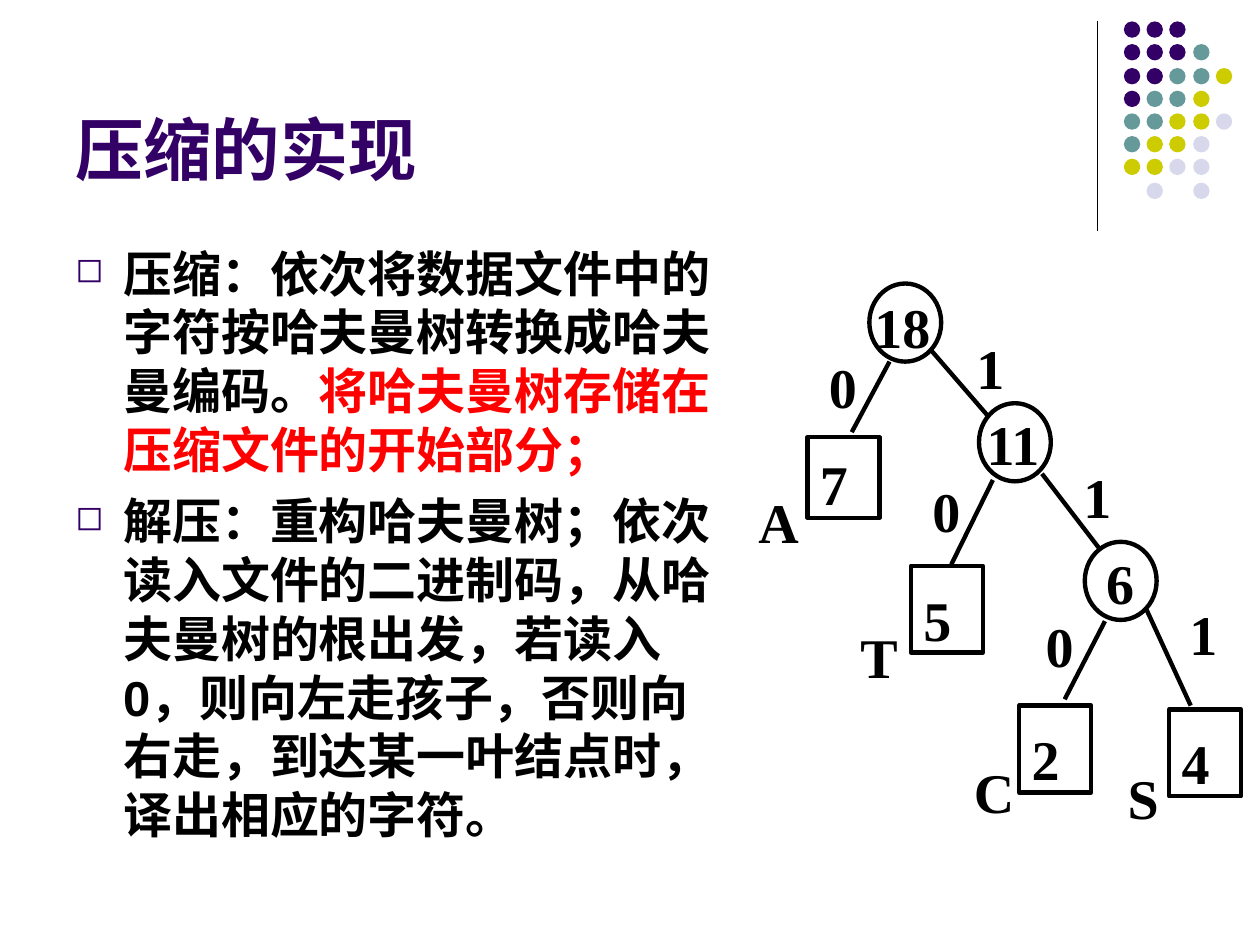
from lxml import etree
from pptx import Presentation
from pptx.dml.color import RGBColor
from pptx.enum.shapes import MSO_CONNECTOR, MSO_SHAPE
from pptx.enum.text import MSO_ANCHOR, PP_ALIGN
from pptx.oxml.ns import qn
from pptx.util import Emu, Pt

OVAL, RECT = MSO_SHAPE.OVAL, MSO_SHAPE.RECTANGLE
STRAIGHT = MSO_CONNECTOR.STRAIGHT
LEFT, CENTER = PP_ALIGN.LEFT, PP_ALIGN.CENTER
TOP, BOTTOM = MSO_ANCHOR.TOP, MSO_ANCHOR.BOTTOM
PX = 9144  # 100 px to the inch

COLORS = {
    "purple": "330066",
    "teal": "669999",
    "lime": "CCCC00",
    "lavender": "D8D8EC",
    "black": "000000",
    "red": "FF0000",
}
RGB = {name: RGBColor.from_string(value) for name, value in COLORS.items()}

deck = Presentation()
deck.slide_width, deck.slide_height = Emu(1000 * PX), Emu(750 * PX)
page = deck.slides.add_slide(deck.slide_layouts[6])
shapes = page.shapes


def add_line(start, end, width):
    line = shapes.add_connector(STRAIGHT, *[Emu(n * PX) for n in (*start, *end)])
    line.line.color.rgb = RGB["black"]
    line.line.width = Pt(width)
    etree.SubElement(line._element.spPr, qn("a:effectLst"))


def write_label(box, text, inset_x, inset_top, align=LEFT, spacing=1.0):
    frame = box.text_frame
    frame.text = text
    frame.word_wrap = True
    frame.vertical_anchor = TOP
    frame.margin_left = frame.margin_right = Emu(inset_x * PX)
    frame.margin_top, frame.margin_bottom = Emu(inset_top * PX), 0
    para = frame.paragraphs[0]
    para.alignment = align
    para.line_spacing = spacing
    font = para.runs[0].font
    font.name, font.size, font.bold = "Times New Roman", Pt(32), True
    font.color.rgb = RGB["black"]


# Corner rule and dot pattern
add_line((871, 17), (871, 183), 0.75)
DOT_ROWS = ["PPP", "PPPT", "PPTTY", "PTTY", "TTYYL", "TYYL", "YYLL", " L L"]
DOT_COLORS = {"P": "purple", "T": "teal", "Y": "lime", "L": "lavender"}
for row, marks in enumerate(DOT_ROWS):
    for column, mark in enumerate(marks):
        if mark == " ":
            continue
        left, top = round(892 + 18.25 * column), round(17 + 18.25 * row)
        dot = shapes.add_shape(OVAL, left * PX, top * PX, 13 * PX, 13 * PX)
        dot.shadow.inherit = False
        dot.fill.solid()
        dot.fill.fore_color.rgb = RGB[DOT_COLORS[mark]]
        dot.line.fill.background()

# Title
title = shapes.add_textbox(50 * PX, 13 * PX, 825 * PX, 142 * PX)
title.text_frame.text = "压缩的实现"
title.text_frame.word_wrap = True
title.text_frame.vertical_anchor = BOTTOM
title_font = title.text_frame.paragraphs[0].runs[0].font
title_font.name, title_font.size, title_font.bold = "Arial", Pt(39), True
title_font.color.rgb = RGB["purple"]

# Bulleted text
BULLETS = [
    [
        ("压缩：依次将数据文件中的字符按哈夫曼树转换成哈夫曼编码。", "black"),
        ("将哈夫曼树存储在压缩文件的开始部分；", "red"),
    ],
    [
        (
            "解压：重构哈夫曼树；依次读入文件的二进制码，从哈夫曼树的根出发，"
            "若读入0，则向左走孩子，否则向右走，到达某一叶结点时，译出相应的字符。",
            "black",
        ),
    ],
]
body = shapes.add_textbox(50 * PX, 188 * PX, 533 * PX, 482 * PX)
body.text_frame.word_wrap = True
for index, spans in enumerate(BULLETS):
    para = body.text_frame.paragraphs[0] if index == 0 else body.text_frame.add_paragraph()
    props = para._p.get_or_add_pPr()
    props.set("marL", str(38 * PX))
    props.set("indent", str(-38 * PX))
    bullet_color = etree.SubElement(props, qn("a:buClr"))
    etree.SubElement(bullet_color, qn("a:srgbClr"), val=COLORS["purple"])
    etree.SubElement(props, qn("a:buSzPct"), val="70000")
    etree.SubElement(props, qn("a:buChar"), char="◻")
    para.line_spacing = 1.0
    if index:
        para.space_before = Pt(7)
    for text, color in spans:
        span = para.add_run()
        span.text = text
        span.font.name, span.font.size, span.font.bold = "Arial", Pt(28), True
        span.font.color.rgb = RGB[color]

# Tree nodes: outline, left, top, height, text, line spacing
NODES = [
    (RECT, 641, 347, 64, "7", 1.0),
    (RECT, 723, 449, 69, "5", 1.1),
    (RECT, 928, 563, 69, "4", 1.1),
    (RECT, 809, 560, 69, "2", 1.1),
    (OVAL, 690, 225, 62, "", 1.0),
    (OVAL, 777, 320, 62, "", 1.0),
    (OVAL, 861, 430, 62, "", 1.0),
]
for outline, left, top, height, text, spacing in NODES:
    node = shapes.add_shape(outline, left * PX, top * PX, 57 * PX, height * PX)
    node.shadow.inherit = False
    node.fill.background()
    node.line.color.rgb = RGB["black"]
    node.line.width = Pt(2.5)
    if text:
        write_label(node, text, 10, 10, spacing=spacing)

# Tree branches
BRANCHES = [
    ((706, 287), (676, 343)),
    ((739, 278), (784, 330)),
    ((788, 381), (755, 448)),
    ((827, 376), (873, 436)),
    ((877, 493), (845, 555)),
    ((910, 484), (945, 560)),
]
for start, end in BRANCHES:
    add_line(start, end, 2.5)

# Labels: text, left, top, width, height, side inset, top inset, alignment
LABELS = [
    ("18", 694, 227, 46, 53, 0, 5, LEFT),
    ("11", 783, 320, 46, 53, 0, 5, LEFT),
    ("6", 868, 425, 57, 64, 10, 10, LEFT),
]
for text, left, top in [
    ("0", 632, 270), ("1", 749, 255), ("0", 714, 368),
    ("1", 834, 357), ("0", 804, 475), ("1", 918, 466),
]:
    LABELS.append((text, left, top, 74, 64, 10, 10, CENTER))
for text, left, top in [("A", 592, 377), ("T", 673, 484), ("C", 763, 591), ("S", 885, 596)]:
    LABELS.append((text, left, top, 65, 64, 10, 10, LEFT))
for text, left, top, width, height, inset_x, inset_top, align in LABELS:
    label = shapes.add_textbox(left * PX, top * PX, width * PX, height * PX)
    write_label(label, text, inset_x, inset_top, align)

deck.save("out.pptx")
